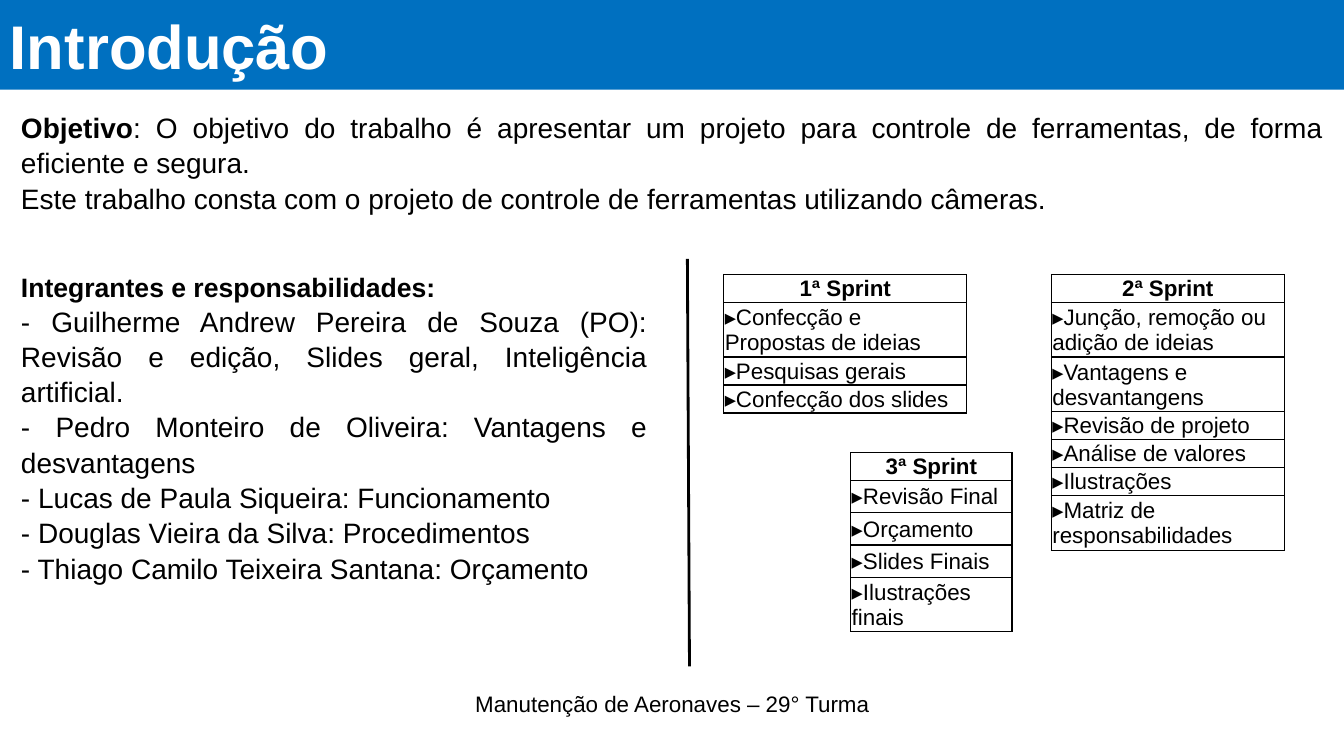
"""Build the introduction slide: goal, team members and sprint tables."""
from lxml import etree
from pptx import Presentation
from pptx.dml.color import RGBColor
from pptx.enum import shapes, text
from pptx.oxml import ns
from pptx.util import Pt

BLACK, WHITE, BLUE = "000000", "FFFFFF", "0070C0"
LEFT, CENTER, JUSTIFY = text.PP_ALIGN.LEFT, text.PP_ALIGN.CENTER, text.PP_ALIGN.JUSTIFY
MIDDLE, TOP = text.MSO_ANCHOR.MIDDLE, text.MSO_ANCHOR.TOP

GOAL = ": O objetivo do trabalho é apresentar um projeto para controle de ferramentas, de forma eficiente e segura."
SCOPE = "Este trabalho consta com o projeto de controle de ferramentas utilizando câmeras."
MEMBERS = [
    "- Guilherme Andrew Pereira de Souza (PO): Revisão e edição, Slides geral, Inteligência artificial.",
    "- Pedro Monteiro de Oliveira: Vantagens e desvantagens",
    "- Lucas de Paula Siqueira: Funcionamento",
    "- Douglas Vieira da Silva: Procedimentos",
    "- Thiago Camilo Teixeira Santana: Orçamento",
]
SPRINTS = [
    (517, 196, 173.5, "1ª Sprint", [
        ("Confecção e Propostas de ideias", 39),
        ("Pesquisas gerais", 20),
        ("Confecção dos slides", 20)]),
    (751, 196, 166.3, "2ª Sprint", [
        ("Junção, remoção ou adição de ideias", 39),
        ("Vantagens e desvantangens", 39),
        ("Revisão de projeto", 20),
        ("Análise de valores", 20),
        ("Ilustrações", 20),
        ("Matriz de responsabilidades", 39)]),
    (607.7, 323.3, 115.2, "3ª Sprint", [
        ("Revisão Final", 23),
        ("Orçamento", 23),
        ("Slides Finais", 23),
        ("Ilustrações finais", 39)]),
]


def color(value):
    """Turn a hex string into a colour."""
    return RGBColor.from_string(value)


def add_run(p, words, size=20, bold=False, ink=BLACK):
    """Append a formatted run to a paragraph."""
    r = p.add_run()
    r.text = words
    r.font.name = "Arial"
    r.font.size = Pt(size)
    r.font.bold = bold
    r.font.color.rgb = color(ink)


def write(tf, paragraphs, anchor=TOP):
    """Fill a text frame with (runs, alignment, line spacing) paragraphs."""
    tf.word_wrap = True
    tf.vertical_anchor = anchor
    for i, (runs, align, spacing) in enumerate(paragraphs):
        p = tf.add_paragraph() if i else tf.paragraphs[0]
        p.alignment = align
        p.line_spacing = spacing
        for words, style in runs:
            add_run(p, words, **style)


def add_text(slide, box, paragraphs, anchor=TOP):
    """Add a text box."""
    sp = slide.shapes.add_textbox(*map(Pt, box))
    write(sp.text_frame, paragraphs, anchor)


def add_banner(slide, words, width, height):
    """Add the title band across the top."""
    sp = slide.shapes.add_shape(shapes.MSO_SHAPE.RECTANGLE, 0, 0, Pt(width), Pt(height))
    sp.shadow.inherit = False
    sp.fill.solid()
    sp.fill.fore_color.rgb = color(BLUE)
    sp.line.fill.background()
    style = dict(size=44, bold=True, ink=WHITE)
    write(sp.text_frame, [([(words, style)], LEFT, 1.0)], MIDDLE)


def add_borders(cell):
    """Draw a thin black border on every side of a cell."""
    props = cell._tc.get_or_add_tcPr()
    for i, side in enumerate(("a:lnL", "a:lnR", "a:lnT", "a:lnB")):
        ln = etree.Element(ns.qn(side), w=str(Pt(1)))
        fill = etree.SubElement(ln, ns.qn("a:solidFill"))
        etree.SubElement(fill, ns.qn("a:srgbClr"), val=BLACK)
        props.insert(i, ln)


def add_sprint(slide, left, top, width, title, tasks):
    """Add a one-column table with a sprint title and its tasks."""
    rows = [(title, 20)] + [("▸" + task, height) for task, height in tasks]
    total = sum(height for _, height in rows)
    frame = slide.shapes.add_table(len(rows), 1, Pt(left), Pt(top), Pt(width), Pt(total))
    table = frame.table
    table.first_row = table.horz_banding = False
    for i, (words, height) in enumerate(rows):
        table.rows[i].height = Pt(height)
        cell = table.cell(i, 0)
        cell.margin_left = cell.margin_right = cell.margin_top = Pt(0.7)
        cell.margin_bottom = 0
        cell.vertical_anchor = MIDDLE
        cell.fill.background()
        add_borders(cell)
        p = cell.text_frame.paragraphs[0]
        p.alignment = LEFT if i else CENTER
        add_run(p, words, size=16, bold=i == 0)


def add_divider(slide, *ends):
    """Add the line between team and sprints."""
    line = slide.shapes.add_connector(shapes.MSO_CONNECTOR.STRAIGHT, *map(Pt, ends))
    line.line.color.rgb = color(BLACK)
    line.line.width = Pt(2)
    etree.SubElement(line._element.spPr, ns.qn("a:effectLst"))


def main():
    """Build and save the slide."""
    prs = Presentation()
    prs.slide_width, prs.slide_height = Pt(960), Pt(540)
    slide = prs.slides.add_slide(prs.slide_layouts[6])

    add_banner(slide, "Introdução", 960, 64)
    add_text(slide, (7.9, 74.2, 944.6, 101.5), [
        ([("Objetivo", dict(bold=True)), (GOAL, {})], JUSTIFY, 1.05),
        ([(SCOPE, {})], JUSTIFY, 1.05)])
    for sprint in SPRINTS:
        add_sprint(slide, *sprint)
    add_text(slide, (318.2, 488.2, 324, 28.8), [
        ([("Manutenção de Aeronaves – 29° Turma", dict(size=16))], CENTER, 1.0)], MIDDLE)
    heading = ([("Integrantes e responsabilidades:", dict(size=19, bold=True))], LEFT, 1.05)
    team = [([(member, {})], JUSTIFY, 1.05) for member in MEMBERS]
    add_text(slide, (7.9, 188.6, 461.5, 247), [heading] + team)
    add_divider(slide, 491, 185, 492.5, 476)

    prs.save("out.pptx")


if __name__ == "__main__":
    main()
